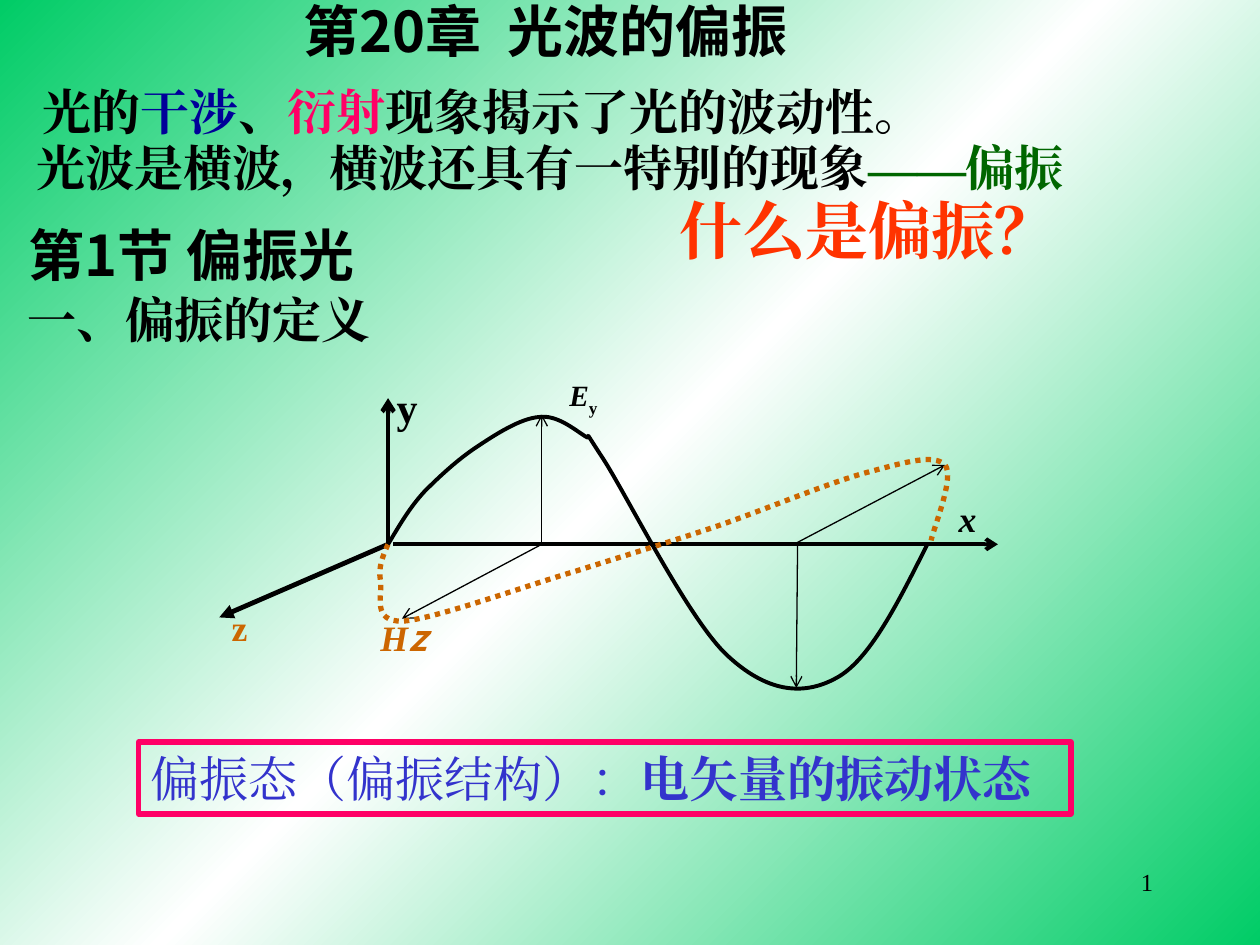
from copy import deepcopy
from dataclasses import dataclass

from lxml import etree
from pptx import Presentation, util as u
from pptx.dml import color
from pptx.enum import dml, shapes, text
from pptx.oxml import ns

PX = 9144  # EMU in one px, 100 px to the inch
HEX = {
    "black": "000000", "white": "FFFFFF", "green": "00CC66",
    "navy": "000099", "pink": "FF0066", "leaf": "006600",
    "red": "FF3300", "blue": "3333CC", "brown": "CC6600",
}
SERIF, SANS = "Times New Roman", "Noto Sans CJK SC"
LEFT, RIGHT, JUST = (text.PP_ALIGN.LEFT, text.PP_ALIGN.RIGHT,
                     text.PP_ALIGN.JUSTIFY)


@dataclass
class Run:
    words: str
    ink: str = "black"
    bold: bool = True
    slant: bool = False
    face: str = SERIF
    base: int = 0


@dataclass
class Arrow:
    start: tuple[int, int]
    tip: tuple[int, int]
    width: float = 0.75
    head: str = "arrow"


@dataclass
class Curve:
    start: tuple[int, int]
    points: list[tuple[int, int]]  # three for each Bezier piece
    ink: str
    width: float
    dash: dml.MSO_LINE | None = None


def rgb(name: str) -> color.RGBColor:
    return color.RGBColor.from_string(HEX[name])


def write(home, box: tuple, runs: list[Run], size: float, align=LEFT,
          pad: int = 10, mid: bool = False, grow: bool = True,
          edge: str | None = None):
    """Put one line of text in a box, framed when an edge colour is given."""
    area = [n * PX for n in box]
    if edge:
        shape = home.add_shape(shapes.MSO_SHAPE.RECTANGLE, *area)
        shape.shadow.inherit = False
        shape.fill.background()
        shape.line.color.rgb = rgb(edge)
        shape.line.width = u.Pt(3)
    else:
        shape = home.add_textbox(*area)
    frame = shape.text_frame
    frame.word_wrap = True
    frame.margin_left = frame.margin_right = pad * PX
    frame.margin_top = frame.margin_bottom = 5 * PX
    frame.vertical_anchor = (text.MSO_ANCHOR.MIDDLE if mid
                             else text.MSO_ANCHOR.TOP)
    frame.auto_size = (text.MSO_AUTO_SIZE.SHAPE_TO_FIT_TEXT if grow
                       else text.MSO_AUTO_SIZE.NONE)
    para = frame.paragraphs[0]
    para.alignment = align
    for item in runs:
        run = para.add_run()
        run.text = item.words
        font = run.font
        font.name, font.size = item.face, u.Pt(size)
        font.bold, font.italic = item.bold, item.slant
        font.color.rgb = rgb(item.ink)
        props = run._r.get_or_add_rPr()
        etree.SubElement(props, ns.qn("a:ea"), typeface=item.face)
        if item.base:
            props.set("baseline", str(item.base * 1000))


def point(home, arrow: Arrow):
    """Draw a straight line with a head at its tip."""
    ends = [n * PX for n in arrow.start + arrow.tip]
    line = home.add_connector(shapes.MSO_CONNECTOR.STRAIGHT, *ends)
    line.line.color.rgb = rgb("black")
    line.line.width = u.Pt(arrow.width)
    etree.SubElement(line.line._get_or_add_ln(), ns.qn("a:tailEnd"),
                     type=arrow.head)
    etree.SubElement(line._element.spPr, ns.qn("a:effectLst"))


def bend(home, curve: Curve):
    """Draw an open outline and join each three points into a Bezier piece."""
    pen = home.build_freeform(*curve.start, scale=PX)
    pen.add_line_segments(curve.points, close=False)
    shape = pen.convert_to_shape()
    shape.shadow.inherit = False
    shape.fill.background()
    shape.line.color.rgb = rgb(curve.ink)
    shape.line.width = u.Pt(curve.width)
    if curve.dash:
        shape.line.dash_style = curve.dash
    track = next(shape._element.iter(ns.qn("a:path")))
    parts = track.findall(ns.qn("a:lnTo"))
    for i in range(0, len(parts), 3):
        piece = etree.SubElement(track, ns.qn("a:cubicBezTo"))
        for part in parts[i:i + 3]:
            piece.append(part[0])
            track.remove(part)


def paint(slide):
    """Fill the background with a green, white, green slope."""
    fill = slide.background.fill
    fill.gradient()
    fill.gradient_angle = 315
    first = next(slide.element.iter(ns.qn("a:gs")))
    first.addnext(deepcopy(first))
    stops = zip(fill.gradient_stops, (0, 0.5, 1), ("green", "white", "green"))
    for stop, place, ink in stops:
        stop.position = place
        stop.color.rgb = rgb(ink)


ARROWS = [
    Arrow((312, 432), (792, 432), 2.25),  # x axis
    Arrow((308, 433), (308, 316), 2.5),  # y axis
    Arrow((308, 432), (174, 490), 2.75, "triangle"),  # z axis
    Arrow((430, 432), (430, 329)),
    Arrow((430, 432), (319, 491)),
    Arrow((632, 431), (750, 369)),
    Arrow((633, 433), (632, 546)),
]
CURVES = [
    # magnetic wave
    Curve((308, 432), [
        (304, 441), (300, 450), (302, 461), (304, 471), (294, 494), (320, 493),
        (346, 491), (417, 465), (458, 453), (499, 440), (529, 431), (568, 418),
        (606, 405), (658, 383), (688, 375), (718, 367), (741, 360), (750, 369),
        (758, 378), (741, 419), (739, 429),
    ], "brown", 3, dml.MSO_LINE.ROUND_DOT),
    # electric wave
    Curve((308, 432), [
        (317, 417), (325, 403), (337, 390), (349, 378), (363, 365), (378, 355),
        (393, 345), (413, 332), (428, 331), (442, 329), (456, 341), (464, 346),
        (472, 352), (459, 334), (478, 363), (497, 392), (546, 491), (577, 520),
        (608, 549), (637, 553), (664, 538), (690, 524), (713, 478), (736, 432),
    ], "black", 2.25),
]
LABELS = [
    ((751, 389, 30, 44), [Run("x", slant=True)], 20.4),
    ((174, 476, 55, 45), [Run("z", "brown")], 20.4),
    ((305, 298, 86, 53), [Run("y")], 24),
    ((442, 294, 105, 47), [Run("E", slant=True), Run("y", base=-30)], 16.8),
    ((292, 484, 91, 46), [Run("H", "brown", slant=True),
                          Run("z", "brown", slant=True, face=SANS)], 20.4),
]


def main():
    deck = Presentation()
    deck.slide_width, deck.slide_height = 1000 * PX, 750 * PX
    slide = deck.slides.add_slide(deck.slide_layouts[6])
    paint(slide)
    page = slide.shapes

    # page number
    write(page, (717, 683, 208, 50), [Run("1", bold=False)], 14, align=RIGHT,
          grow=False)

    # wave diagram
    wave = page.add_group_shape().shapes
    for arrow in ARROWS:
        point(wave, arrow)
    for curve in CURVES:
        bend(wave, curve)
    for box, runs, size in LABELS:
        write(wave, box, runs, size, grow=False)

    # headings
    write(page, (13, 170, 318, 64), [Run("第1节 偏振光", face=SANS)], 32,
          mid=True)
    write(page, (12, 225, 299, 57), [Run("一、偏振的定义")], 28, align=JUST)
    write(page, (241, -8, 445, 64), [Run("第20章  光波的偏振", face=SANS)], 32,
          align=JUST, pad=0)

    # definition and introduction
    write(page, (110, 589, 740, 57),
          [Run("偏振态（偏振结构）：", "blue", bold=False),
           Run("电矢量的振动状态", "blue")], 28, mid=True, edge="pink")
    write(page, (24, 60, 817, 57),
          [Run("光的"), Run("干涉", "navy"), Run("、"), Run("衍射", "pink"),
           Run("现象揭示了光的波动性。")], 28)
    write(page, (19, 104, 927, 57),
          [Run("光波是横波，横波还具有一特别的现象"),
           Run("——偏振", "leaf")], 28, align=JUST)
    write(page, (539, 147, 347, 70), [Run("什么是偏振？", "red")], 36, pad=0)

    deck.save("out.pptx")


if __name__ == "__main__":
    main()
